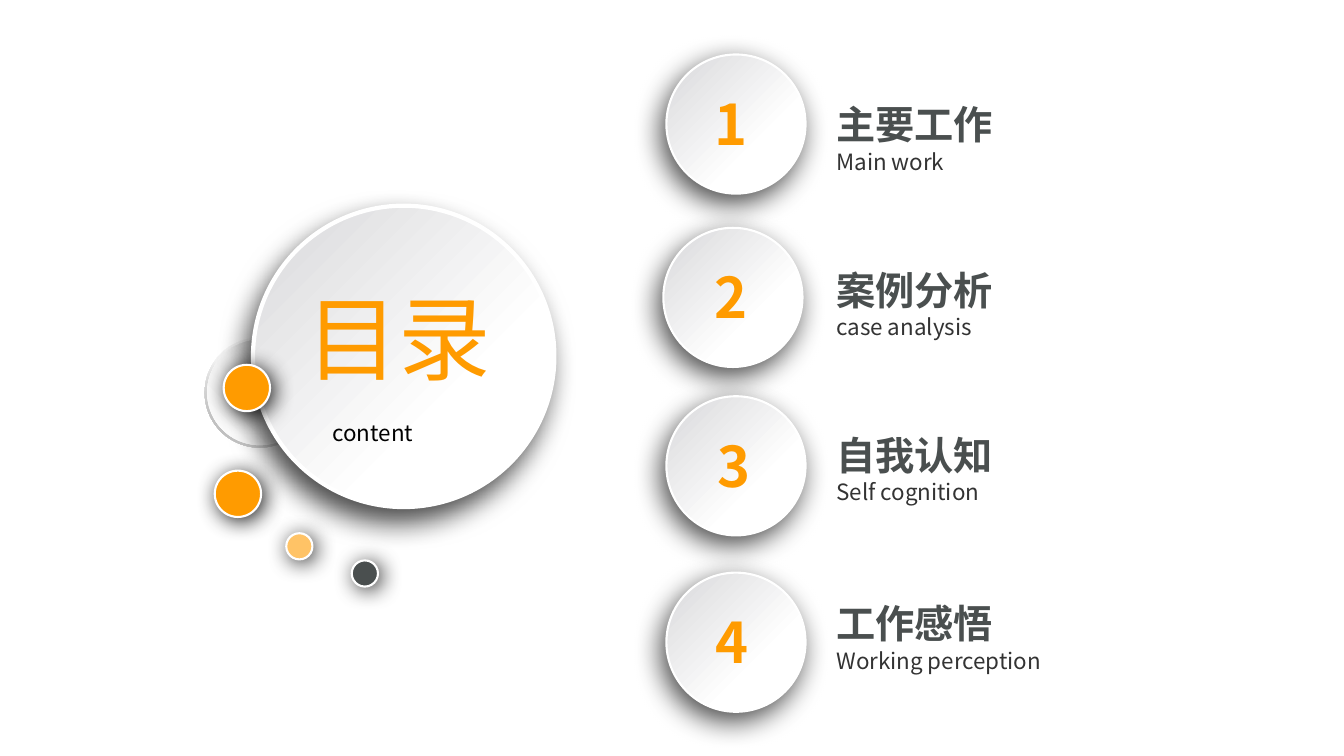
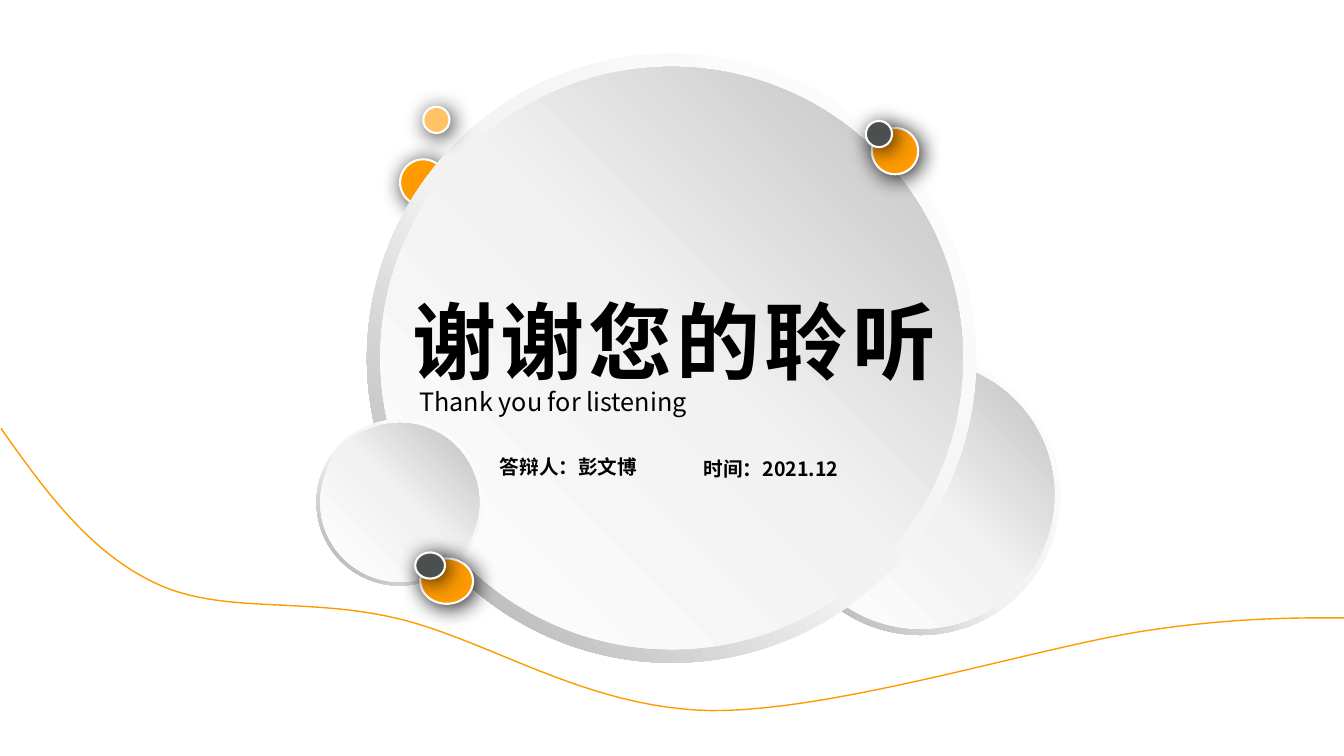
from dataclasses import dataclass

from lxml.etree import SubElement
from pptx import Presentation
from pptx.dml.color import RGBColor
from pptx.enum.shapes import MSO_SHAPE as Preset
from pptx.enum.text import MSO_ANCHOR as Anchor, MSO_AUTO_SIZE as AutoSize, PP_ALIGN as Align
from pptx.oxml import parse_xml
from pptx.oxml.ns import nsdecls, qn
from pptx.util import Pt


@dataclass(frozen=True)
class Theme:
    font: str = "Noto Sans CJK SC"
    orange: str = "FF9B00"
    pale: str = "FFC366"
    slate: str = "4A4F4F"
    gray: str = "333333"
    black: str = "000000"
    white: str = "FFFFFF"
    contents: int = 66
    closing: int = 60
    number: int = 40
    heading: int = 28
    subtitle: int = 18
    caption: int = 16
    detail: int = 14


THEME = Theme()

RING_FILL = ([(0, "FFFFFF"), (55, "F2F2F2"), (100, "A6A6A6")], 135)
DISC_FILL = ([(0, "FFFFFF"), (51, "F2F2F2"), (100, "BFBFBF")], 315)
BUTTON_FILL = ([(34, "FFFFFF"), (96, "DBDBDD")], None)

BIG_DOT, SMALL_DOT = 33.1, 18.7
DOT_STYLES = {
    "orange": (THEME.orange, BIG_DOT, 89),
    "pale": (THEME.pale, SMALL_DOT, 82),
    "slate": (THEME.slate, SMALL_DOT, 82),
}

SECTIONS = [
    ("1", "主要工作", "Main work", (476, 38.9), (503.3, 60.5), 68.4),
    ("2", "案例分析", "case analysis", (473.8, 162.7), (503.3, 184.3), 186.5),
    ("3", "自我认知", "Self cognition", (476, 283), (505.4, 304.6), 304.6),
    ("4", "工作感悟", "Working perception", (476, 409), (504, 430.6), 424.8),
]
BUTTON_SIZE = 99.4
LABEL_LEFT = 590.4

CONTENTS_RING = (146.2, 241.2, 78.5)
CONTENTS_BUTTON = (180.7, 146.9, 215.3, 215.3)
CONTENTS_DOTS = [
    ("orange", 153.4, 336.2, 1),
    ("orange", 159.8, 260.6, 1),
    ("slate", 251.3, 400.3, 1),
    ("pale", 204.5, 380.9, 1),
]

BACK_DOT = ("orange", 285.8, 113.8, 1)
CLOSING_RINGS = [(557.3, 253.4, 200.2), (262.1, 38.2, 435.2), (226.1, 299.5, 118.8)]
CLOSING_DOTS = [
    ("orange", 622.8, 91.4, 1),
    ("slate", 618.5, 86.4, 1),
    ("pale", 302.4, 76.3, 1),
    ("orange", 300.2, 398.9, 1.14),
    ("slate", 296.6, 394.6, 1.14),
]
CLOSING_DETAILS = [
    ("答辩人：彭文博", (349.9, 321.1, 128.9, 24.5)),
    ("时间：2021.12", (495.4, 322.6, 166.3, 24.5)),
]

WAVE_START = (0.7, 306)
WAVE_CURVES = [
    ((31.7, 349.9), (63.4, 393.8), (110.2, 416.2)),
    ((157.7, 439.2), (216, 426.2), (282.2, 441.4)),
    ((348.5, 456.5), (418.3, 506.2), (508.3, 507.6)),
    ((598.3, 508.3), (745.9, 460.8), (822.2, 450)),
    ((890, 440), (940, 441.5), (960, 441.4)),
]
CURVE_STEPS = 24


def color(value):
    return RGBColor.from_string(value)


def set_gradient(shape, stops, angle):
    marks = "".join(
        f'<a:gs pos="{at * 1000}"><a:srgbClr val="{value}"/></a:gs>' for at, value in stops
    )
    if angle is None:
        course = '<a:path path="circle"><a:fillToRect l="100000" t="100000"/></a:path>'
    else:
        course = f'<a:lin ang="{angle * 60000}" scaled="0"/>'
    fill = f'<a:gradFill {nsdecls("a")} rotWithShape="1"><a:gsLst>{marks}</a:gsLst>{course}</a:gradFill>'
    shape._element.spPr.insert(2, parse_xml(fill))


def set_shadow(shape, opacity, blur, distance, angle):
    effects = shape._element.spPr.find(qn("a:effectLst"))
    shadow = SubElement(
        effects, qn("a:outerShdw"), blurRad=str(Pt(blur)), dist=str(Pt(distance)),
        dir=str(angle * 60000), algn="ctr", rotWithShape="0",
    )
    tint = SubElement(shadow, qn("a:srgbClr"), val=THEME.black)
    SubElement(tint, qn("a:alpha"), val=str(opacity * 1000))


def add_round(shapes, place, fill, preset=Preset.OVAL, line=0, shadow=None):
    shape = shapes.add_shape(preset, *map(Pt, place))
    shape.shadow.inherit = False
    if isinstance(fill, str):
        shape.fill.solid()
        shape.fill.fore_color.rgb = color(fill)
    else:
        set_gradient(shape, *fill)
    if line:
        shape.line.color.rgb = color(THEME.white)
        shape.line.width = Pt(line)
    else:
        shape.line.fill.background()
    if shadow:
        set_shadow(shape, *shadow)
    return shape


def add_ringed_disc(page, left, top, size):
    group = page.shapes.add_group_shape()
    ring = add_round(group.shapes, (left, top, size, size), RING_FILL, Preset.DONUT)
    ring.adjustments[0] = 0.049
    inset = size * 0.022
    inner = size - 2 * inset
    add_round(group.shapes, (left + inset, top + inset, inner, inner), DISC_FILL)


def add_button(page, place, line=1.5, distance=7):
    add_round(page.shapes, place, BUTTON_FILL, line=line, shadow=(70, 20, distance, 120))


def add_dot(page, kind, left, top, stretch):
    fill, size, opacity = DOT_STYLES[kind]
    height = size if stretch == 1 else min(size, 32.4)
    add_round(page.shapes, (left, top, size * stretch, height), fill,
              line=1.5, shadow=(opacity, 16, 3, 45))


def write(box, place, lines, wrap=True, spacing=0):
    box.left, box.top, box.width, box.height = map(Pt, place)
    frame = box.text_frame
    frame.word_wrap = wrap
    frame.auto_size = AutoSize.NONE
    frame.vertical_anchor = Anchor.TOP
    for index, (text, size, tone, bold) in enumerate(lines):
        para = frame.add_paragraph() if index else frame.paragraphs[0]
        para.text = text
        para.alignment = Align.LEFT
        para.space_before = Pt(0)
        para.font.name = THEME.font
        para.font.size = Pt(size)
        para.font.bold = bold
        para.font.color.rgb = color(tone)
        props = para._p.get_or_add_pPr().get_or_add_defRPr()
        SubElement(props, qn("a:ea"), typeface=THEME.font)
        if spacing:
            props.set("spc", str(spacing * 100))


def add_text(page, place, lines, wrap=True):
    write(page.shapes.add_textbox(0, 0, 0, 0), place, lines, wrap)


def fill_placeholder(page, index, place, line, wrap=True, spacing=0):
    box = page.placeholders[index]
    page.shapes._spTree.append(box._element)
    write(box, place, [line], wrap, spacing)


def curve_points(start, curves):
    for first, second, end in curves:
        for step in range(1, CURVE_STEPS + 1):
            t = step / CURVE_STEPS
            u = 1 - t
            yield tuple(
                u**3 * a + 3 * u * u * t * b + 3 * u * t * t * c + t**3 * d
                for a, b, c, d in zip(start, first, second, end)
            )
        start = end


def add_wave(page):
    points = [(Pt(x), Pt(y)) for x, y in curve_points(WAVE_START, WAVE_CURVES)]
    builder = page.shapes.build_freeform(*map(Pt, WAVE_START))
    builder.add_line_segments(points, close=False)
    wave = builder.convert_to_shape()
    wave.shadow.inherit = False
    wave.fill.background()
    wave.line.color.rgb = color(THEME.orange)
    wave.line.width = Pt(1)


def build_contents(page):
    for number, heading, caption, button, digit, label_top in SECTIONS:
        add_button(page, (*button, BUTTON_SIZE, BUTTON_SIZE))
        add_text(page, (*digit, 39.6, 55.4), [(number, THEME.number, THEME.orange, True)], False)
        add_text(page, (LABEL_LEFT, label_top, 170, 94.3), [
            (heading, THEME.heading, THEME.slate, True),
            (caption, THEME.caption, THEME.gray, False),
        ])
    add_ringed_disc(page, *CONTENTS_RING)
    add_button(page, CONTENTS_BUTTON, 3, 11)
    for dot in CONTENTS_DOTS:
        add_dot(page, *dot)
    fill_placeholder(page, 0, (211.7, 197.3, 151.9, 87.1),
                     ("目录", THEME.contents, THEME.orange, False))
    fill_placeholder(page, 1, (230.4, 295.9, 115.2, 26.6),
                     ("content", THEME.caption, THEME.black, False))


def build_closing(page):
    add_dot(page, *BACK_DOT)
    for ring in CLOSING_RINGS:
        add_ringed_disc(page, *ring)
    for dot in CLOSING_DOTS:
        add_dot(page, *dot)
    fill_placeholder(page, 0, (287.3, 203, 396, 79.9),
                     ("谢谢您的聆听", THEME.closing, THEME.black, True), False, 3)
    fill_placeholder(page, 1, (292.3, 272.2, 382.3, 28.8),
                     ("Thank you for listening", THEME.subtitle, THEME.black, False))
    for text, place in CLOSING_DETAILS:
        add_text(page, place, [(text, THEME.detail, THEME.black, True)])
    add_wave(page)


def main():
    deck = Presentation()
    deck.slide_width, deck.slide_height = Pt(960), Pt(540)
    for build in (build_contents, build_closing):
        build(deck.slides.add_slide(deck.slide_layouts[0]))
    deck.save("out.pptx")


if __name__ == "__main__":
    main()
